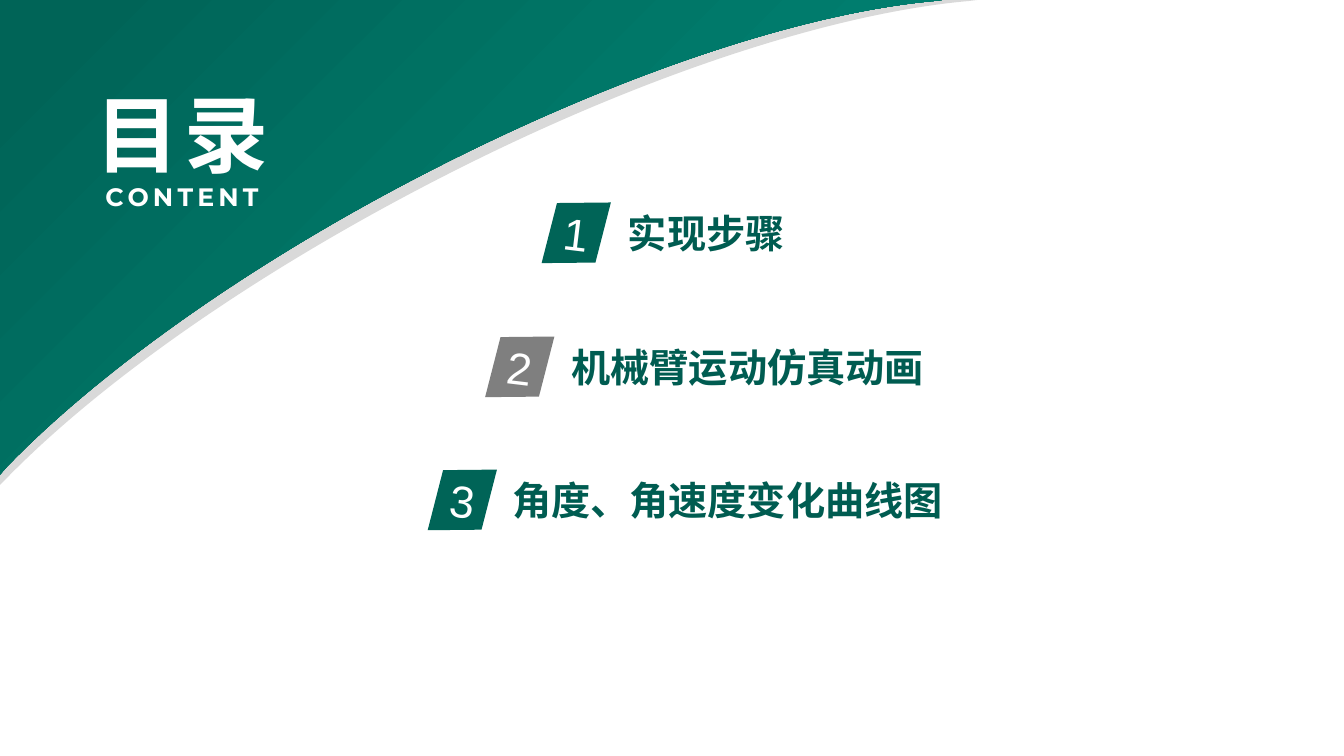
from dataclasses import dataclass

from lxml import etree
from pptx import Presentation
from pptx.dml.color import RGBColor
from pptx.enum.text import MSO_ANCHOR, MSO_AUTO_SIZE, PP_ALIGN
from pptx.oxml.ns import qn
from pptx.shapes.autoshape import Shape
from pptx.slide import Slide
from pptx.util import Inches, Pt

Point = tuple[float, float]

LEFT, CENTER = PP_ALIGN.LEFT, PP_ALIGN.CENTER
TOP, MIDDLE = MSO_ANCHOR.TOP, MSO_ANCHOR.MIDDLE
GROW, FIXED = MSO_AUTO_SIZE.SHAPE_TO_FIT_TEXT, MSO_AUTO_SIZE.NONE

COLORS = {
    "edge": "D9D9D9",
    "dark_green": "006457",
    "light_green": "008E7D",
    "text_green": "005C51",
    "gray": "7F7F7F",
    "white": "FFFFFF",
}
CHINESE_FONT = "Noto Sans CJK SC"
BADGE_OUTLINE = [(0.61, 0), (0.53, 0.61), (0, 0.68), (0.08, 0.07)]
BADGE_ROTATION = 6.9
TEXT_DROP = 0.06


@dataclass
class TextStyle:
    size: float
    font: str
    color: str
    bold: bool = True
    spacing: float = 0
    alignment: PP_ALIGN = LEFT


@dataclass
class AgendaItem:
    text: str
    badge_color: str
    top: float
    badge_left: float
    text_left: float
    text_width: float


HEADING = TextStyle(60, CHINESE_FONT, "white", spacing=3, alignment=CENTER)
SUBHEADING = TextStyle(18, "Montserrat", "white", spacing=3, alignment=CENTER)
ITEM = TextStyle(28, CHINESE_FONT, "text_green")
NUMBER = TextStyle(32, "Arial", "white", bold=False, alignment=CENTER)

AGENDA = [
    AgendaItem("实现步骤", "dark_green", 1.97, 5.41, 6.13, 4.42),
    AgendaItem("机械臂运动仿真动画", "gray", 3.3, 4.85, 5.57, 4.42),
    AgendaItem("角度、角速度变化曲线图", "dark_green", 4.62, 4.28, 4.98, 4.79),
]

# Each edge is a chain of cubic curves: a start, then three points per curve.
EDGE_CURVE = [(9.61, 0.01), (8.25, 0.13), (6.31, 0.76), (4.3, 1.8),
              (2.5, 2.73), (1, 3.79), (0.07, 4.74)]
GREEN_CURVE = [(9.26, 0.01), (7.95, 0.13), (6.08, 0.75), (4.14, 1.76),
               (2.41, 2.66), (0.96, 3.71), (0.07, 4.63)]


def rgb(name: str) -> RGBColor:
    return RGBColor.from_string(COLORS[name])


def add_polygon(slide: Slide, points: list[Point], color: str) -> Shape:
    corners = [(Inches(x), Inches(y)) for x, y in points]
    builder = slide.shapes.build_freeform(*corners[0])
    builder.add_line_segments(corners[1:], close=True)
    shape = builder.convert_to_shape()
    shape.shadow.inherit = False
    shape.line.fill.background()
    shape.fill.solid()
    shape.fill.fore_color.rgb = rgb(color)
    return shape


def add_corner(slide: Slide, width: float, height: float, curve: list[Point]) -> Shape:
    """Draw the corner outline, turning the lines of its edge into cubic curves."""
    shape = add_polygon(slide, [(0, 0), (width, 0), *curve, (0, height), (0, 0)], "edge")
    lines = list(shape.element.iter(qn("a:lnTo")))
    edge_lines = lines[2:len(curve) + 1]
    for start in range(0, len(edge_lines), 3):
        cubic = etree.Element(qn("a:cubicBezTo"))
        edge_lines[start].addprevious(cubic)
        for line in edge_lines[start:start + 3]:
            cubic.append(line[0])
            line.getparent().remove(line)
    return shape


def apply_gradient(shape: Shape) -> None:
    shape.fill.gradient()
    shape.fill.gradient_angle = 315
    stops = ((0.06, "dark_green"), (1, "light_green"))
    for stop, (position, color) in zip(shape.fill.gradient_stops, stops):
        stop.position = position
        stop.color.rgb = rgb(color)


def place(shape: Shape, left: float, top: float, width: float, height: float) -> None:
    box = {"left": left, "top": top, "width": width, "height": height}
    for name, value in box.items():
        setattr(shape, name, Inches(value))


def write_text(shape: Shape, text: str, style: TextStyle, **frame_format) -> None:
    """Fill the shape with one styled run; frame_format sets text frame attributes."""
    for name, value in frame_format.items():
        setattr(shape.text_frame, name, value)
    paragraph = shape.text_frame.paragraphs[0]
    paragraph.alignment = style.alignment
    run = paragraph.add_run()
    run.text = text
    font_format = {"size": Pt(style.size), "name": style.font, "bold": style.bold}
    for name, value in font_format.items():
        setattr(run.font, name, value)
    run.font.color.rgb = rgb(style.color)
    properties = run._r.get_or_add_rPr()
    if style.spacing:
        properties.set("spc", str(int(style.spacing * 100)))
    etree.SubElement(properties, qn("a:ea")).set("typeface", style.font)


def add_label(slide: Slide, box: tuple[float, float, float, float], text: str,
              style: TextStyle, wrap: bool) -> None:
    label = slide.shapes.add_textbox(0, 0, 0, 0)
    place(label, *box)
    write_text(label, text, style, word_wrap=wrap, auto_size=GROW)


def add_heading(slide: Slide) -> None:
    title = slide.shapes.title
    title.element.getparent().append(title.element)  # in front of the green corner
    place(title, 0.82, 0.77, 1.97, 1.11)
    write_text(title, "目录", HEADING, word_wrap=False, auto_size=GROW,
               vertical_anchor=TOP)
    add_label(slide, (0.87, 1.75, 1.87, 0.4), "CONTENT", SUBHEADING, wrap=False)


def add_badge(slide: Slide, number: int, item: AgendaItem) -> None:
    outline = [(item.badge_left + x, item.top + y) for x, y in BADGE_OUTLINE]
    badge = add_polygon(slide, outline, item.badge_color)
    badge.rotation = BADGE_ROTATION
    write_text(badge, str(number), NUMBER, word_wrap=True, auto_size=FIXED,
               vertical_anchor=MIDDLE, margin_left=0, margin_right=0,
               margin_top=0, margin_bottom=0)


def main() -> None:
    presentation = Presentation()
    presentation.slide_width = Inches(13.33)
    presentation.slide_height = Inches(7.5)
    slide = presentation.slides.add_slide(presentation.slide_layouts.get_by_name("Title Only"))

    add_corner(slide, 9.69, 4.81, EDGE_CURVE)
    apply_gradient(add_corner(slide, 9.34, 4.71, GREEN_CURVE))
    add_heading(slide)
    for item in AGENDA:
        box = (item.text_left, item.top + TEXT_DROP, item.text_width, 0.57)
        add_label(slide, box, item.text, ITEM, wrap=True)
    for number, item in enumerate(AGENDA, start=1):
        add_badge(slide, number, item)

    presentation.save("out.pptx")


if __name__ == "__main__":
    main()
